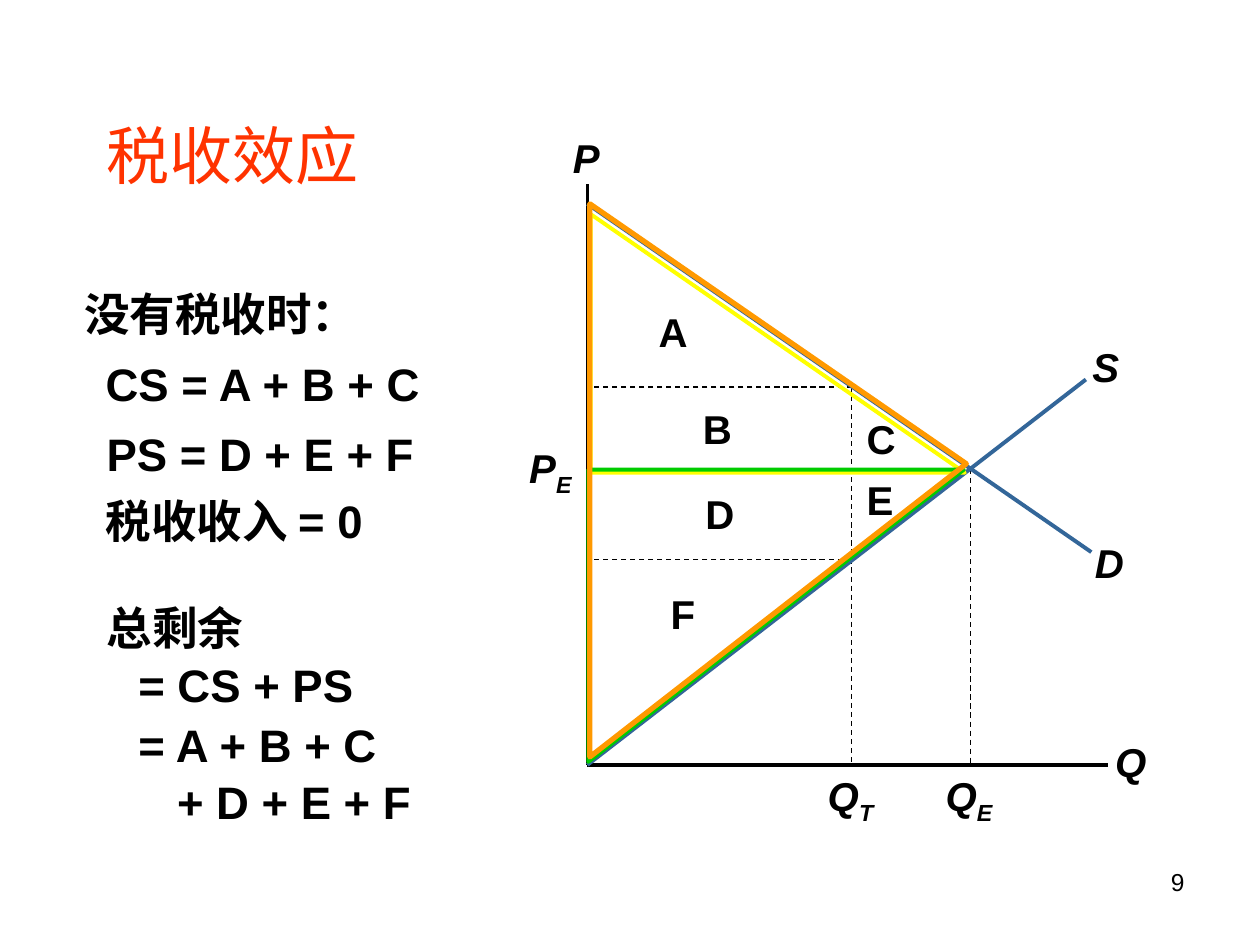
import pptx
import pptx.util
import pptx.oxml.ns
import pptx.dml.color
import pptx.enum.dml
import pptx.enum.shapes
import pptx.enum.text
import lxml.etree

Cm = pptx.util.Cm
Pt = pptx.util.Pt
RGB = pptx.dml.color.RGBColor
Align = pptx.enum.text.PP_ALIGN
Kind = pptx.enum.shapes.MSO_SHAPE
qn = pptx.oxml.ns.qn

BLACK = RGB(0, 0, 0)
WHITE = RGB(255, 255, 255)
RED = RGB(0xFF, 0x33, 0x00)
BLUE = RGB(0x33, 0x66, 0x99)
YELLOW = RGB(0xFF, 0xFF, 0x00)
GREEN = RGB(0x00, 0xCC, 0x00)
ORANGE = RGB(0xFF, 0x99, 0x00)

LATIN = "Arial"
HAN = "Noto Sans CJK SC"

LEFT, BASE = 11.84, 15.42
Q_TAX, Q_EVEN = 17.17, 19.56
P_BUY, P_EVEN, P_SELL = 7.8, 9.45, 11.28


def style(run, size, color=BLACK, bold=False, slant=False, face=LATIN):
    font = run.font
    font.name = face
    font.size = Pt(size)
    font.bold = bold
    font.italic = slant
    font.color.rgb = color
    east = lxml.etree.SubElement(run._r.get_or_add_rPr(), qn("a:ea"))
    east.set("typeface", HAN)


def add_text(slide, box, text, size, align=Align.LEFT, wrap=True, **look):
    frame = slide.shapes.add_textbox(*map(Cm, box)).text_frame
    frame.word_wrap = wrap
    frame.text = text
    for para in frame.paragraphs:
        para.alignment = align
        for run in para.runs:
            style(run, size, **look)
    return frame


def add_label(slide, left, top, text, sub="", width=1.02, slant=True):
    height = 1.37 if sub else 1.24
    frame = add_text(slide, (left, top, width, height), text, 23,
                     Align.CENTER, False, bold=True, slant=slant)
    if sub:
        run = frame.paragraphs[0].add_run()
        run.text = sub
        style(run, 23, bold=True, slant=slant)
        run._r.get_or_add_rPr().set("baseline", "-25000")


def add_note(slide, left, top, width, height, text):
    frame = add_text(slide, (left, top, width, height), text, 26, bold=True)
    for para in frame.paragraphs:
        para.line_spacing = 1.05
    return frame


def add_line(slide, start, end, color, width, dash=False):
    line = slide.shapes.add_connector(
        pptx.enum.shapes.MSO_CONNECTOR.STRAIGHT, *map(Cm, start + end))
    line.line.color.rgb = color
    line.line.width = Pt(width)
    if dash:
        line.line.dash_style = pptx.enum.dml.MSO_LINE.DASH
    lxml.etree.SubElement(line._element.spPr, qn("a:effectLst"))


def add_area(slide, kind, box, color, width):
    area = slide.shapes.add_shape(kind, *map(Cm, box))
    area.shadow.inherit = False
    area.fill.background()
    area.line.color.rgb = color
    area.line.width = Pt(width)
    return area


def add_graph(slide):
    for start, end in (
        ((Q_TAX, P_BUY), (Q_TAX, BASE)),
        ((Q_TAX, P_BUY), (LEFT, P_BUY)),
        ((Q_TAX, P_SELL), (LEFT, P_SELL)),
        ((LEFT, P_EVEN), (Q_EVEN, P_EVEN)),
        ((Q_EVEN, P_EVEN), (Q_EVEN, BASE)),
    ):
        add_line(slide, start, end, BLACK, 0.75, True)
    add_line(slide, (LEFT, 3.71), (LEFT, BASE), BLACK, 2)
    add_line(slide, (LEFT, BASE), (22.33, BASE), BLACK, 2)
    add_line(slide, (LEFT, 4.11), (22, 11.13), BLUE, 2.25)
    add_line(slide, (LEFT, BASE), (21.89, 7.65), BLUE, 2.25)

    for left, top, text in (
        (11.3, 2.57, "P"), (22.23, 14.73, "Q"),
        (21.82, 10.72, "D"), (21.77, 6.78, "S"),
    ):
        add_label(slide, left, top, text)
    add_label(slide, 10.36, 8.81, "P", "E", 1.47)
    add_label(slide, 18.72, BASE, "Q", "E", 1.63)
    add_label(slide, 16.33, BASE, "Q", "T", 1.63)
    for left, top, text in (
        (13.03, 6.07, "A"), (13.92, 8.03, "B"), (17.22, 8.23, "C"),
        (13.97, 9.73, "D"), (17.22, 9.45, "E"), (13.26, 11.76, "F"),
    ):
        add_label(slide, left, top, text, slant=False)

    add_area(slide, Kind.RIGHT_TRIANGLE, (11.91, 4.32, 7.54, 5.21),
             YELLOW, 2.25)
    lower = add_area(slide, Kind.RIGHT_TRIANGLE, (11.86, 9.47, 7.57, 5.89),
                     GREEN, 2.25)
    lower._element.spPr.get_or_add_xfrm().set("flipV", "1")
    total = add_area(slide, Kind.ISOSCELES_TRIANGLE,
                     (10.11, 5.89, 11.15, 7.59), ORANGE, 3)
    total.adjustments[0] = 0.47
    total.rotation = 90


def add_notes(slide):
    for left, top, width, text in (
        (1.45, 5.59, 8.38, "没有税收时："),
        (1.88, 6.99, 7.16, "CS = A + B + C"),
        (1.9, 8.41, 7.16, "PS = D + E + F"),
        (1.88, 9.75, 7.32, "税收收入 = 0"),
    ):
        add_note(slide, left, top, width, 1.5, text)
    frame = add_note(slide, 1.9, 11.91, 7.32, 5.13,
                     "总剩余\n= CS + PS\n= A + B + C\n+ D + E + F")
    for para, indent in zip(frame.paragraphs, (0, 0.64, 0.64, 1.42)):
        para._p.get_or_add_pPr().set("marL", str(Cm(indent)))
    frame.paragraphs[2].space_before = Pt(1.6)


def main():
    deck = pptx.Presentation()
    deck.slide_width, deck.slide_height = Cm(25.4), Cm(19.05)
    slide = deck.slides.add_slide(deck.slide_layouts[6])
    slide.background.fill.solid()
    slide.background.fill.fore_color.rgb = WHITE
    title = add_text(slide, (1.9, 1.52, 21.87, 3.18), "税收效应", 36,
                     color=RED, face=HAN)
    title.vertical_anchor = pptx.enum.text.MSO_ANCHOR.MIDDLE
    add_notes(slide)
    add_graph(slide)
    add_text(slide, (18.21, 17.35, 5.92, 1.32), "9", 14, Align.RIGHT)
    deck.save("out.pptx")


if __name__ == "__main__":
    main()
